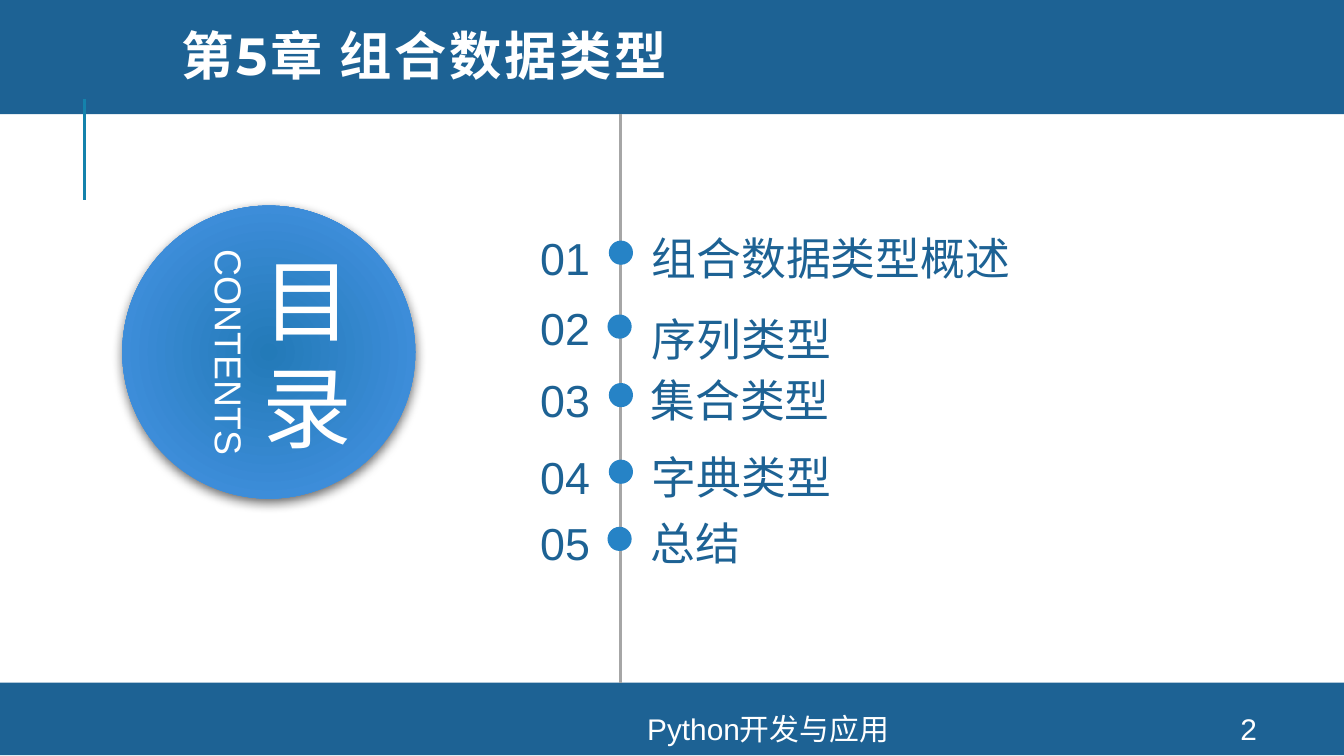
from lxml import etree
from pptx import Presentation
from pptx.dml.color import RGBColor
from pptx.enum.shapes import MSO_CONNECTOR as CONNECTOR, MSO_SHAPE as SHAPE
from pptx.enum.text import MSO_ANCHOR as ANCHOR, PP_ALIGN as ALIGN
from pptx.oxml import parse_xml
from pptx.oxml.ns import nsdecls, qn
from pptx.util import Inches, Pt

NAVY = RGBColor(0x1D, 0x62, 0x94)
TEAL = RGBColor(0x14, 0x82, 0xAC)
GREY = RGBColor(0xA6, 0xA6, 0xA6)
DOT_BLUE = RGBColor(0x26, 0x83, 0xC6)
WHITE = RGBColor(0xFF, 0xFF, 0xFF)

# Number, topic, row top, dot left and top, topic left, width and height, spacing
TOPICS = [
    ("01", "组合数据类型概述", 1.72, 4.53, 1.79, 4.85, 3.37, 0.4, None),
    ("02", "序列类型", 2.24, 4.52, 2.34, 4.85, 3.87, 0.48, 1.2),
    ("03", "集合类型", 2.77, 4.53, 2.85, 4.84, 3.37, 0.4, None),
    ("04", "字典类型", 3.35, 4.53, 3.42, 4.85, 3.37, 0.4, None),
    ("05", "总结", 3.84, 4.52, 3.92, 4.84, 3.37, 0.4, None),
]

BADGE_GRADIENT = f"""
<a:gradFill {nsdecls("a")} rotWithShape="1">
  <a:gsLst>
    <a:gs pos="0"><a:srgbClr val="237AB8"/></a:gs>
    <a:gs pos="100000"><a:srgbClr val="4895E7"/></a:gs>
  </a:gsLst>
  <a:path path="circle">
    <a:fillToRect l="100000" t="100000" r="100000" b="100000"/>
  </a:path>
</a:gradFill>"""

BADGE_SHADOW = f"""
<a:outerShdw {nsdecls("a")} blurRad="{Pt(6)}" dist="{Pt(2)}" dir="5400000"
  algn="t" rotWithShape="0">
  <a:srgbClr val="000000"><a:alpha val="60000"/></a:srgbClr>
</a:outerShdw>"""


def add_filled(slide, kind, left, top, width, height, color):
    shape = slide.shapes.add_shape(
        kind, Inches(left), Inches(top), Inches(width), Inches(height))
    shape.shadow.inherit = False
    shape.fill.solid()
    shape.fill.fore_color.rgb = color
    shape.line.fill.background()
    return shape


def add_vertical(slide, x, top, bottom, color):
    rule = slide.shapes.add_connector(
        CONNECTOR.STRAIGHT, Inches(x), Inches(top), Inches(x), Inches(bottom))
    rule.line.color.rgb = color
    rule.line.width = Pt(1.5)
    etree.SubElement(rule._element.spPr, qn("a:effectLst"))


def add_text(slide, text, left, top, width, height, size=24, color=WHITE,
             font="Arial", bold=False, align=ALIGN.LEFT, anchor=ANCHOR.TOP,
             inset=True, line_spacing=None, tracking=None, rotation=0):
    box = slide.shapes.add_textbox(
        Inches(left), Inches(top), Inches(width), Inches(height))
    box.rotation = rotation
    frame = box.text_frame
    frame.word_wrap = True
    frame.vertical_anchor = anchor
    if not inset:
        frame.margin_left = frame.margin_right = 0
        frame.margin_top = frame.margin_bottom = 0
    frame.text = text
    for paragraph in frame.paragraphs:
        paragraph.alignment = align
        if line_spacing:
            paragraph.line_spacing = line_spacing
        for run in paragraph.runs:
            run.font.name = font
            run.font.size = Pt(size)
            run.font.bold = bold
            run.font.color.rgb = color
            if tracking:
                run._r.get_or_add_rPr().set("spc", str(int(tracking * 100)))


def add_badge(slide):
    badge = add_filled(slide, SHAPE.OVAL, 0.91, 1.53, 2.18, 2.18, DOT_BLUE)
    properties = badge._element.spPr
    properties.replace(properties.find(qn("a:solidFill")),
                       parse_xml(BADGE_GRADIENT))
    properties.find(qn("a:effectLst")).append(parse_xml(BADGE_SHADOW))
    add_text(slide, "目\n录", 1.58, 1.61, 1.41, 2.02, size=48, tracking=6,
             align=ALIGN.CENTER, anchor=ANCHOR.MIDDLE, inset=False)
    add_text(slide, "CONTENTS", 0.65, 2.4, 2.11, 0.44, size=20,
             align=ALIGN.CENTER, rotation=90)


def add_topic(slide, number, topic, top, dot_left, dot_top,
              left, width, height, line_spacing):
    add_filled(slide, SHAPE.OVAL, dot_left, dot_top, 0.18, 0.18, DOT_BLUE)
    add_text(slide, number, 3.8, top, 0.59, 0.4, color=NAVY,
             align=ALIGN.RIGHT, inset=False)
    add_text(slide, topic, left, top, width, height, color=NAVY,
             inset=False, line_spacing=line_spacing)


def main():
    deck = Presentation()
    # Widescreen, 16:9
    deck.slide_width = Inches(10)
    deck.slide_height = deck.slide_width * 9 // 16
    slide = deck.slides.add_slide(deck.slide_layouts[6])

    # Bands and rules
    add_filled(slide, SHAPE.RECTANGLE, 0, -0.03, 10, 0.88, NAVY)
    add_filled(slide, SHAPE.RECTANGLE, 0, 5.08, 10, 0.54, NAVY)
    add_vertical(slide, 0.63, 0.74, 1.49, TEAL)
    add_vertical(slide, 4.62, 0.85, 5.08, GREY)

    # Chapter title
    add_text(slide, "第5章 组合数据类型", 1.25, 0.09, 8.26, 0.72, size=28,
             font="Montserrat", bold=True, anchor=ANCHOR.MIDDLE,
             line_spacing=0.8, tracking=1.5)

    # Contents badge and topics
    add_badge(slide)
    for topic in TOPICS:
        add_topic(slide, *topic)

    # Footer: course name and page number
    for text, left, width in (("Python开发与应用", 2.61, 6.21), ("2", 8.89, 0.8)):
        add_text(slide, text, left, 5.31, width, 0.23, size=16,
                 align=ALIGN.CENTER, anchor=ANCHOR.MIDDLE)

    deck.save("out.pptx")


if __name__ == "__main__":
    main()
